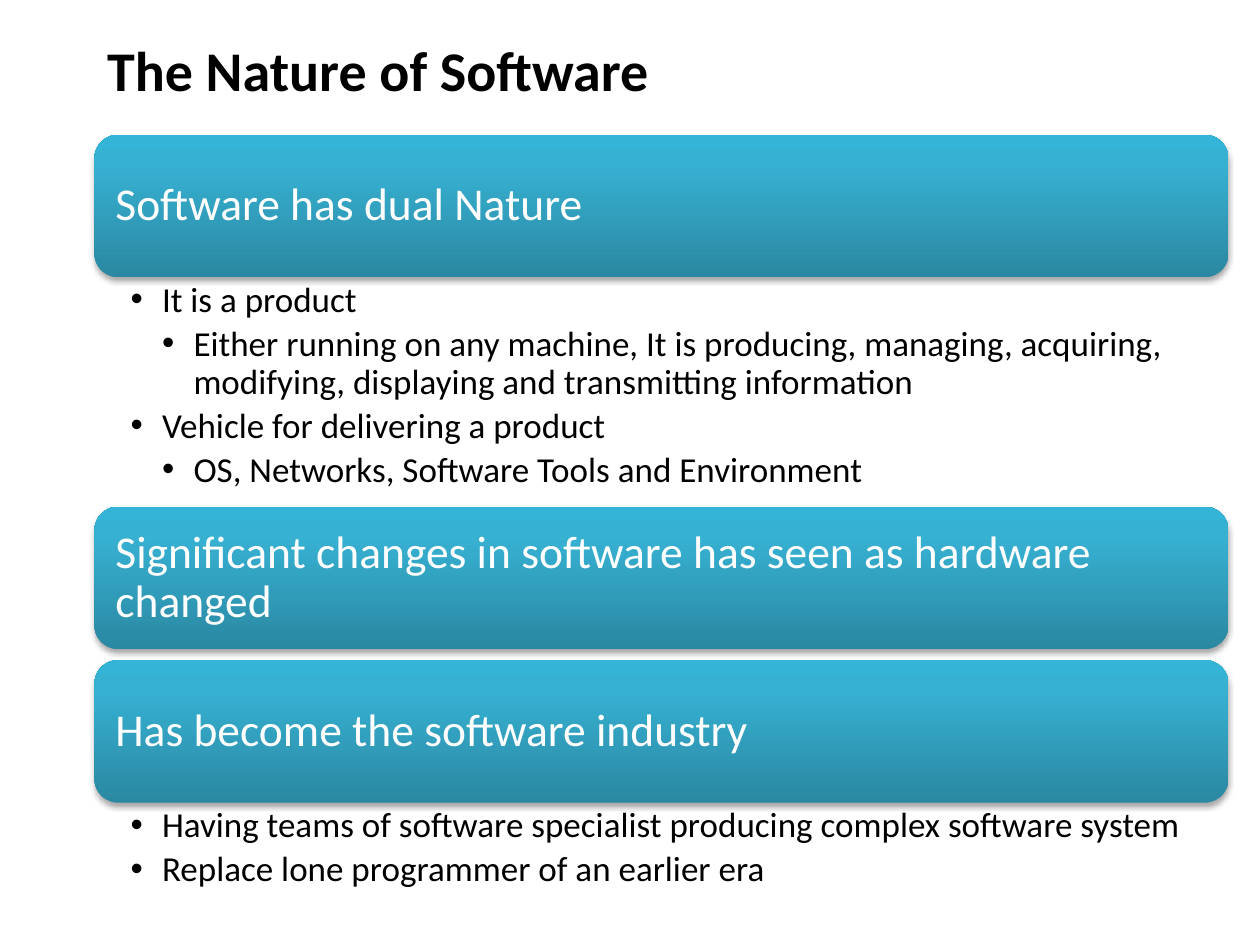
from pptx import Presentation
from pptx.dml.color import RGBColor
from pptx.enum.shapes import MSO_SHAPE
from pptx.enum.text import MSO_ANCHOR, MSO_AUTO_SIZE, PP_ALIGN
from pptx.oxml.ns import qn
from pptx.util import Pt
from lxml.etree import SubElement

# Content: heading, then its (level, text) points and their height
TITLE = "The Nature of Software"
PARTS = [
    ("Software has dual Nature", 131, [
        (1, "It is a product"),
        (2, "Either running on any machine, It is producing, managing, "
            "acquiring, modifying, displaying and transmitting information"),
        (1, "Vehicle for delivering a product"),
        (2, "OS, Networks, Software Tools and Environment"),
    ]),
    ("Significant changes in software has seen as hardware changed", 0, []),
    ("Has become the software industry", 55.5, [
        (1, "Having teams of software specialist producing complex "
            "software system"),
        (1, "Replace lone programmer of an earlier era"),
    ]),
]
SHADES = [(0, "2A88A2"), (80, "37B1D2"), (100, "34B4D6")]

# Layout, in points
LEFT, TOP, WIDTH = 54, 77, 648
BAND, GAP, INDENT = 81.5, 6.2, 18


def color(code):
    return RGBColor.from_string(code)


def add(parent, tag, **attrs):
    return SubElement(parent, qn(tag), {k: str(v) for k, v in attrs.items()})


def style(para, size, code, bold=False):
    for run in para.runs:
        font = run.font
        font.name, font.size, font.bold = "Calibri", Pt(size), bold
        font.color.rgb = color(code)


def inset(frame, left, top, right, bottom):
    frame.word_wrap = True
    frame.margin_left, frame.margin_top = Pt(left), Pt(top)
    frame.margin_right, frame.margin_bottom = Pt(right), Pt(bottom)


def shade(shape):
    """Vertical gradient and a soft shadow below."""
    shape.fill.gradient()
    shape.fill.gradient_angle = 90
    props = shape._element.spPr
    stops = props.find(qn("a:gradFill")).find(qn("a:gsLst"))
    for stop in list(stops):
        stops.remove(stop)
    for pos, code in SHADES:
        add(add(stops, "a:gs", pos=pos * 1000), "a:srgbClr", val=code)
    shape.line.fill.background()
    shape.shadow.inherit = False
    glow = add(props.find(qn("a:effectLst")), "a:outerShdw",
               blurRad=Pt(3.1), dist=Pt(1.8), dir=5400000, rotWithShape=0)
    add(add(glow, "a:srgbClr", val="000000"), "a:alpha", val=35000)


def add_band(slide, top, text):
    band = slide.shapes.add_shape(MSO_SHAPE.ROUNDED_RECTANGLE, Pt(LEFT),
                                  Pt(top), Pt(WIDTH), Pt(BAND))
    shade(band)
    frame = band.text_frame
    inset(frame, 8, 8, 8, 8)
    frame.vertical_anchor = MSO_ANCHOR.MIDDLE
    frame.text = text
    para = frame.paragraphs[0]
    para.alignment, para.line_spacing = PP_ALIGN.LEFT, 0.9
    style(para, 26, "FFFFFF")


def add_points(slide, top, height, points):
    box = slide.shapes.add_textbox(Pt(LEFT), Pt(top), Pt(WIDTH), Pt(height))
    frame = box.text_frame
    inset(frame, 20.6, 2.6, 14.4, 2.6)
    for i, (level, text) in enumerate(points):
        para = frame.add_paragraph() if i else frame.paragraphs[0]
        para.text = text
        para.level = level
        para.line_spacing, para.space_after = 0.9, Pt(3.6)
        style(para, 20, "000000")
        props = para._p.get_or_add_pPr()
        props.set("marL", str(Pt(INDENT * level)))
        props.set("indent", str(Pt(-INDENT)))
        add(props, "a:buFont", typeface="Arial")
        add(props, "a:buChar", char="•")


def main():
    deck = Presentation()
    deck.slide_width, deck.slide_height = Pt(720), Pt(540)
    slide = deck.slides.add_slide(deck.slide_layouts[5])

    # Title
    title = slide.shapes.title
    title.left, title.top = Pt(LEFT), Pt(-5.8)
    title.width, title.height = Pt(372), Pt(68.4)
    frame = title.text_frame
    frame.text = TITLE
    frame.auto_size = MSO_AUTO_SIZE.NONE
    frame.vertical_anchor = MSO_ANCHOR.BOTTOM
    frame.paragraphs[0].alignment = PP_ALIGN.LEFT
    style(frame.paragraphs[0], 32, "000000", True)

    # Bands, each followed by its points or a gap
    top = TOP
    for head, height, points in PARTS:
        add_band(slide, top, head)
        top += BAND
        if points:
            add_points(slide, top, height, points)
        top += height or GAP

    deck.save("out.pptx")


if __name__ == "__main__":
    main()
